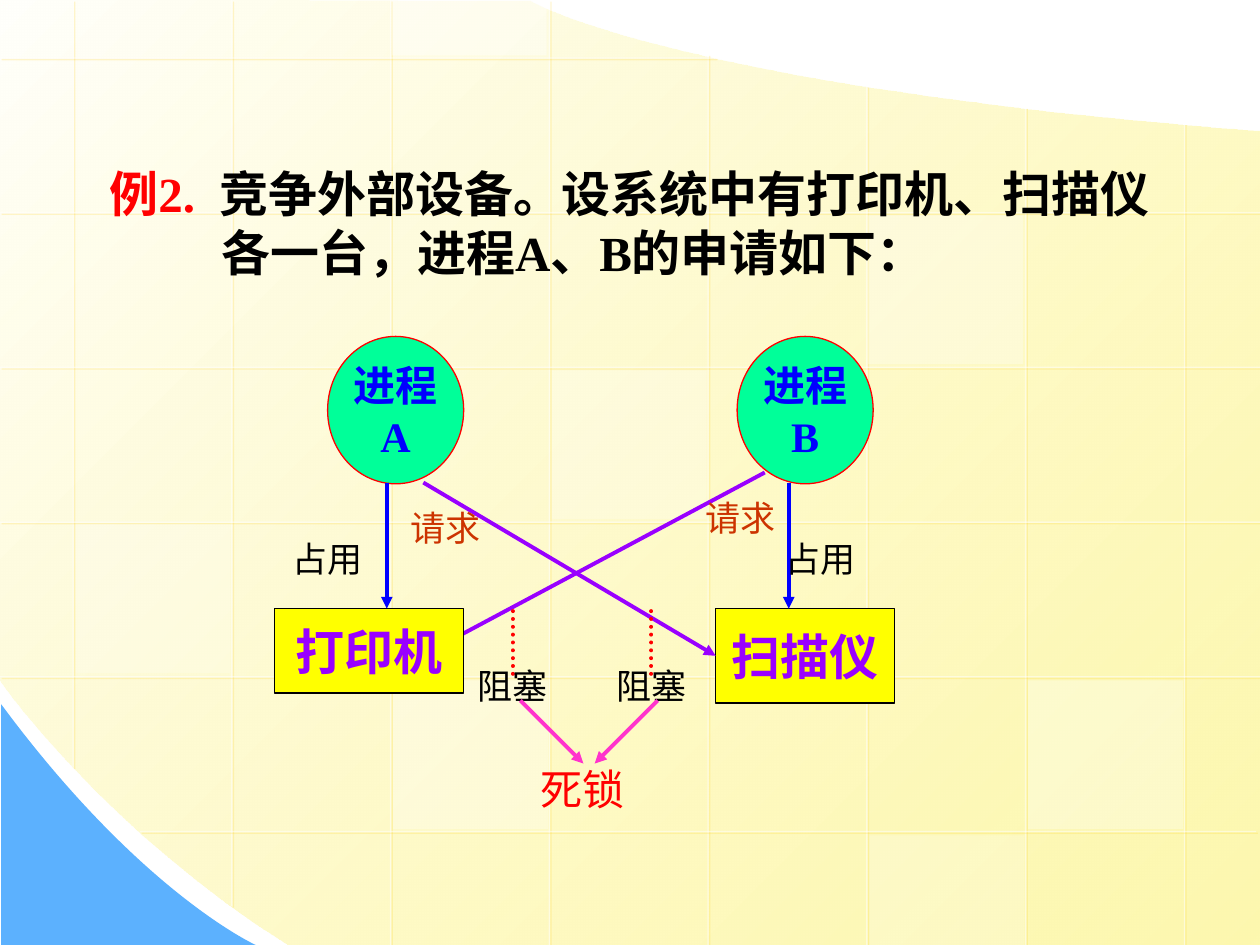
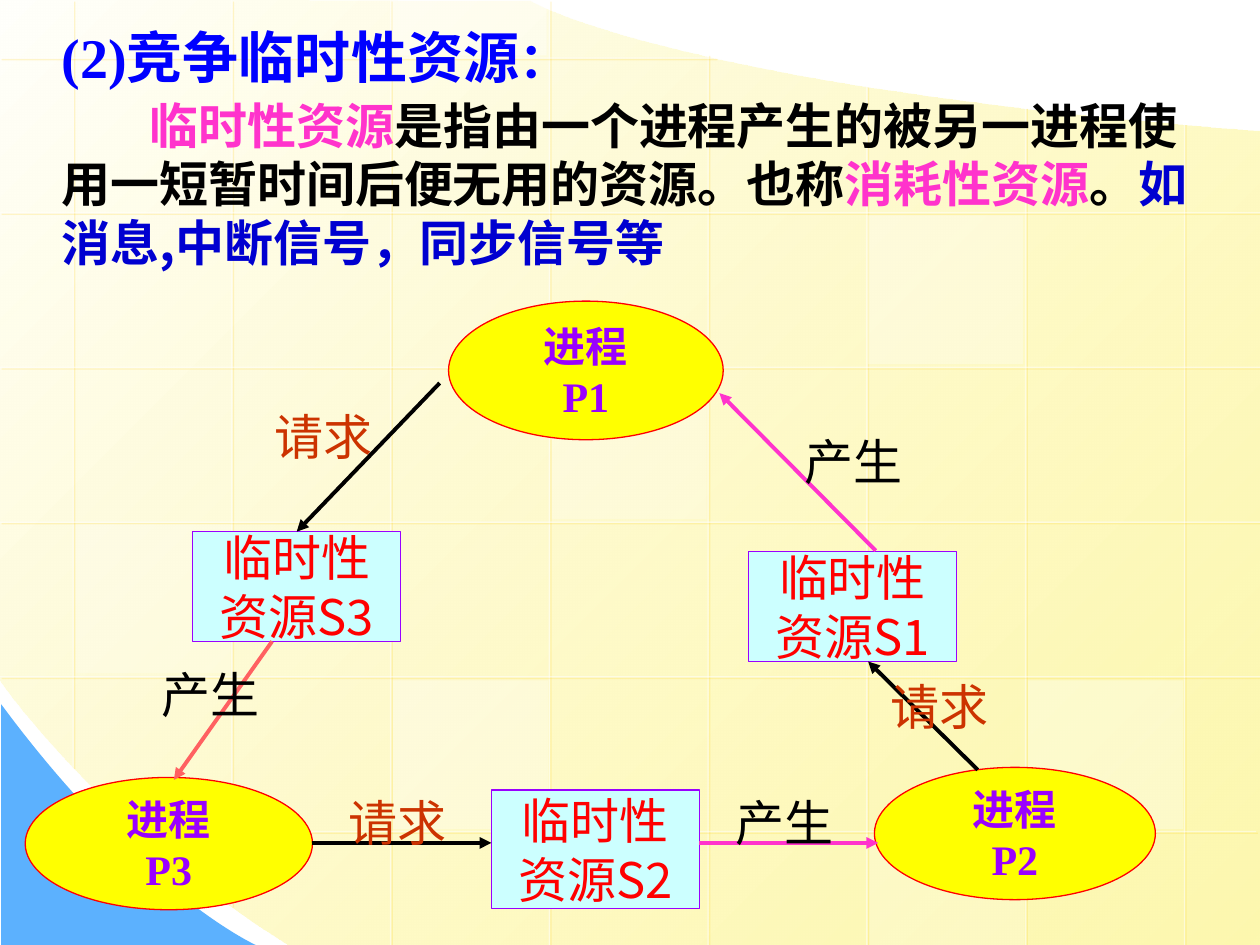
from dataclasses import dataclass

from lxml import etree
from pptx import Presentation
from pptx.dml.color import RGBColor
from pptx.enum.dml import MSO_LINE
from pptx.enum.shapes import MSO_CONNECTOR, MSO_SHAPE
from pptx.enum.text import MSO_ANCHOR, PP_ALIGN
from pptx.oxml.ns import qn
from pptx.util import Inches, Pt

RECT, OVAL = MSO_SHAPE.RECTANGLE, MSO_SHAPE.OVAL
STRAIGHT = MSO_CONNECTOR.STRAIGHT
DOT = MSO_LINE.ROUND_DOT
MIDDLE, CENTER = MSO_ANCHOR.MIDDLE, PP_ALIGN.CENTER
TOP, LEFT = 0, 1


@dataclass(frozen=True)
class Theme:
    white: str = "FFFFFF"
    black: str = "000000"
    cream: str = "FFFFFB"
    sand: str = "FDF58D"
    sky: str = "5CB1FE"
    gold: str = "FFCC00"
    red: str = "FF0000"
    blue: str = "0000FF"
    navy: str = "0000D0"
    violet: str = "9900FF"
    pink: str = "FF33CC"
    coral: str = "FF6161"
    rust: str = "CC3300"
    yellow: str = "FFFF00"
    mint: str = "00FF99"
    ice: str = "CCFFFF"
    serif: str = "Times New Roman"
    sans: str = "Noto Sans CJK SC"
    title: int = 32
    body: int = 28
    node: int = 24
    small: int = 20
    thin: float = 0.75
    thick: float = 2.25


T = Theme()


def rgb(code):
    return RGBColor.from_string(code)


def add(parent, tag, **attrs):
    node = etree.SubElement(parent, qn(tag))
    for key, value in attrs.items():
        node.set(key, str(value))
    return node


def fade(color, percent):
    add(color, "a:alpha", val=percent * 1000)


class Deck:
    def __init__(self):
        self.prs = Presentation()
        self.prs.slide_width, self.prs.slide_height = Inches(10), Inches(7.5)
        self.slide = None

    def page(self):
        self.slide = self.prs.slides.add_slide(self.prs.slide_layouts[6])
        self.backdrop()

    # Shared background
    def backdrop(self):
        field = self.outline(
            (10, 1.04), [(10, 7.5)], [(2.3, 7.5)],
            [(0.86, 6.61), (-0.01, 5.39), (0, 5.39)],
            [(-0.01, -0.01)], [(4.21, 0.01)],
            [(4.21, 0.01), (5.37, 0.69), (10, 1.04)])
        field.fill.gradient()
        field.fill.gradient_angle = 315
        for stop, code in zip(field.fill.gradient_stops, (T.cream, T.sand)):
            stop.color.rgb = rgb(code)
        fade(list(field._element.spPr.iter(qn("a:srgbClr")))[-1], 70)

        corner = self.outline(
            (0.01, 5.59), [(0.01, 7.5)], [(2.03, 7.5)],
            [(2.03, 7.5), (1.12, 7.09), (0.01, 5.59)])
        corner.fill.solid()
        corner.fill.fore_color.rgb = rgb(T.sky)

        tops = (0, 0, 0, 0, 0.43, 0.68, 0.85, 0.98)
        ends = (6.09, 7.19, 7.5) + (7.52,) * 5
        for i, (top, end) in enumerate(zip(tops, ends)):
            x = 0.58 + 1.26 * i
            self.rule((x, top), (x, end))
        spans = [(5.68, 0)] + [(10.01, 0)] * 4 + [(9.97, 1.11)]
        for i, (start, end) in enumerate(spans):
            y = 0.46 + 6.14 * i / 5
            self.rule((start, y), (end, y))

        for x, y, high, percent in (
                (4.38, 2.94, 1.18, 25), (8.16, 5.4, 1.18, 30),
                (0.6, 4.16, 1.18, 20), (6.9, 6.63, 0.87, 20),
                (3.11, 0, 0.44, 40), (3.12, 5.4, 1.18, 30),
                (6.89, 1.71, 1.18, 30)):
            tile = self.shape(RECT, (x, y, 1.23, high), T.white)
            fade(next(tile._element.spPr.iter(qn("a:srgbClr"))), percent)

    def outline(self, start, *parts):
        """Each part is one point for a line, or three for a curve."""
        dots = [(Inches(x), Inches(y)) for part in parts for x, y in part]
        pen = self.slide.shapes.build_freeform(*(Inches(v) for v in start))
        pen.add_line_segments(dots, close=True)
        shape = pen.convert_to_shape()
        steps = iter(list(shape._element.spPr.iter(qn("a:lnTo"))))
        for part in parts:
            group = [next(steps) for _ in part]
            if len(part) == 3:
                bend = etree.Element(qn("a:cubicBezTo"))
                group[0].addprevious(bend)
                for step in group:
                    bend.append(step[0])
                    step.getparent().remove(step)
        shape.shadow.inherit = False
        shape.line.fill.background()
        return shape

    def rule(self, start, end):
        line = self.line(start, end, T.white, T.thin, head=False)
        props = line._element.spPr
        fade(next(props.iter(qn("a:srgbClr"))), 50)
        glow = add(props.find(qn("a:effectLst")), "a:outerShdw",
                   dist=Pt(1.4), dir=2700000, algn="ctr", rotWithShape=0)
        fade(add(glow, "a:srgbClr", val=T.gold), 34)

    # Elements
    def line(self, start, end, color, width=T.thick, head=True, dash=None,
             goal=None):
        line = self.slide.shapes.add_connector(
            STRAIGHT, *(Inches(v) for v in (*start, *end)))
        if goal:
            line.end_connect(*goal)
        line.line.color.rgb = rgb(color)
        line.line.width = Pt(width)
        props = line.line._get_or_add_ln()
        if dash:
            line.line.dash_style = dash
            props.set("cap", "rnd")
        if head:
            add(props, "a:tailEnd", type="triangle")
        add(line._element.spPr, "a:effectLst")
        return line

    def shape(self, kind, box, fill=None, edge=None):
        shape = self.slide.shapes.add_shape(kind, *(Inches(v) for v in box))
        shape.shadow.inherit = False
        if fill:
            shape.fill.solid()
            shape.fill.fore_color.rgb = rgb(fill)
        else:
            shape.fill.background()
        if edge:
            shape.line.color.rgb = rgb(edge)
            shape.line.width = Pt(T.thin)
        else:
            shape.line.fill.background()
        return shape

    def run(self, para, text, color, size, bold=False, face=T.serif, gap=0):
        run = para.add_run()
        run.text = text
        form = {"size": Pt(size), "bold": bold, "name": face}
        for key, value in form.items():
            setattr(run.font, key, value)
        run.font.color.rgb = rgb(color)
        props = run._r.get_or_add_rPr()
        add(props, "a:ea", typeface=T.sans)
        if gap:
            props.set("spc", str(gap * 100))

    def node(self, kind, box, fill, edge, lines, *style):
        shape = self.shape(kind, box, fill, edge)
        frame = shape.text_frame
        frame.word_wrap = False
        frame.vertical_anchor = MIDDLE
        for i, text in enumerate(lines):
            para = frame.add_paragraph() if i else frame.paragraphs[0]
            para.alignment = CENTER
            self.run(para, text, *style)
        return shape

    def label(self, box, text, color, size):
        self.node(RECT, box, None, None, [text], color, size)

    def prose(self, box, paras):
        """Each paragraph: margin, indent, space before, runs."""
        area = self.slide.shapes.add_textbox(*(Inches(v) for v in box))
        frame = area.text_frame
        frame.word_wrap = True
        for i, (margin, indent, space, runs) in enumerate(paras):
            para = frame.add_paragraph() if i else frame.paragraphs[0]
            props = para._p.get_or_add_pPr()
            props.set("marL", str(Inches(margin)))
            props.set("indent", str(Inches(indent)))
            if space:
                para.space_before = Pt(space)
            for style in runs:
                self.run(para, *style)


def devices(deck):
    deck.page()
    bold = (T.body, True)
    deck.prose((0.77, 1.25, 8.57, 1.03), [(0.89, -0.89, 0, [
        ("例2.", T.red, *bold),
        (" ", T.red, *bold, T.serif, 7),
        ("竞争外部设备。设系统中有打印机、扫描仪各一台，进程A、B的申请如下：",
         T.black, *bold)])])

    # Processes and devices
    scan = deck.node(RECT, (5.68, 4.83, 1.42, 0.75), T.yellow, T.black,
                     ["扫描仪"], T.violet, *bold)
    for x, name in ((2.6, "A"), (5.85, "B")):
        deck.node(OVAL, (x, 2.67, 1.08, 1.17), T.mint, T.red,
                  ["进程", name], T.blue, T.node, True)

    # Held and requested devices
    for x, box in ((3.07, (2.32, 4.13, 0.56, 0.6)),
                   (6.26, (6.26, 4.13, 0.5, 0.6))):
        deck.line((x, 3.83), (x, 4.83), T.blue)
        deck.label(box, "占用", T.black, T.small)
    for start, end, goal, spot in (
            ((3.36, 3.83), (5.68, 5.16), (scan, LEFT), (3.27, 3.92)),
            ((6.07, 3.75), (3.58, 5.08), None, (5.61, 3.84))):
        deck.line(start, end, T.violet, goal=goal)
        deck.label((*spot, 0.54, 0.53), "请求", T.rust, T.small)

    # Blocking leads to deadlock
    for x, start, end in ((4.07, 4.13, 4.63), (5.17, 5.22, 4.72)):
        deck.line((x, 4.85), (x, 5.35), T.red, head=False, dash=DOT)
        deck.label((x - 0.25, 5.19, 0.5, 0.5), "阻塞", T.black, T.small)
        deck.line((start, 5.56), (end, 6.06), T.pink)
    deck.label((4.33, 5.96, 0.59, 0.6), "死锁", T.red, T.node)
    deck.node(RECT, (2.18, 4.83, 1.5, 0.67), T.yellow, T.black,
              ["打印机"], T.violet, *bold)


def signals(deck):
    deck.page()
    bold = (T.body, True)
    deck.prose((0.39, 0.13, 9.41, 2.08), [
        (0, 0, 0, [("(2)竞争临时性资源", T.blue, T.title, True),
                   ("：", T.blue, *bold)]),
        (0, 0.7, 3, [
            ("临时性资源", T.pink, *bold),
            ("是指由一个进程产生的被另一进程使用一短暂时间后便无用的资源。也称",
             T.black, *bold),
            ("消耗性资源", T.pink, *bold),
            ("。", T.black, *bold),
            ("如消息,中断信号，同步信号等", T.navy, *bold, T.sans)])])

    # Processes and resources
    for name, box in (("P2", (6.94, 6.09, 2.23, 1.05)),
                      ("P3", (0.2, 6.17, 2.28, 1.05)),
                      ("P1", (3.56, 2.39, 2.18, 1.1))):
        deck.node(OVAL, box, T.yellow, T.red, ["进程", name],
                  T.violet, T.node, True)
    goods = {}
    for name, x, y, high in (("S3", 1.53, 4.22, 0.87),
                             ("S1", 5.94, 4.38, 0.87),
                             ("S2", 3.9, 6.27, 0.94)):
        goods[name] = deck.node(
            RECT, (x, y, 1.65, high), T.ice, T.violet,
            ["临时性", "资源" + name], T.red, T.body, False, T.sans)

    # Cycle of requests and products
    ask, make = ("请求", T.rust), ("产生", T.black)
    for start, end, color, goal, box, word in (
            ((3.49, 3.04), (2.32, 4.21), T.black, (goods["S3"], TOP),
             (2.32, 3.21, 0.5, 0.5), ask),
            ((6.95, 4.37), (5.71, 3.12), T.pink, None,
             (6.51, 3.39, 0.53, 0.54), make),
            ((2.16, 5.09), (1.38, 6.19), T.coral, None,
             (1.52, 5.3, 0.3, 0.41), make),
            ((2.48, 6.69), (3.9, 6.69), T.black, None,
             (2.97, 6.27, 0.37, 0.5), ask),
            ((5.55, 6.69), (6.97, 6.69), T.pink, None,
             (6, 6.27, 0.45, 0.5), make),
            ((7.76, 6.11), (6.89, 5.25), T.black, None,
             (7.3, 5.45, 0.31, 0.31), ask)):
        deck.line(start, end, color, goal=goal)
        deck.label(box, *word, T.body)


def main():
    deck = Deck()
    devices(deck)
    signals(deck)
    deck.prs.save("out.pptx")


if __name__ == "__main__":
    main()
